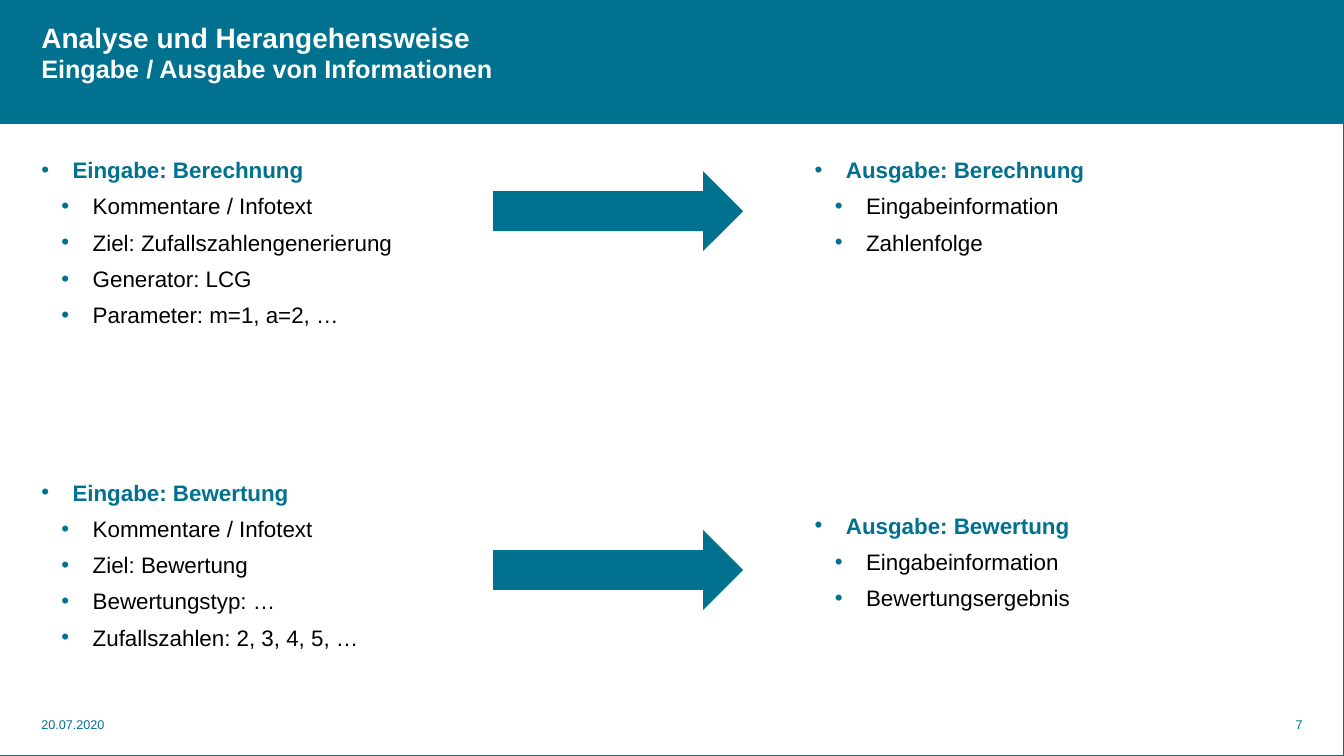
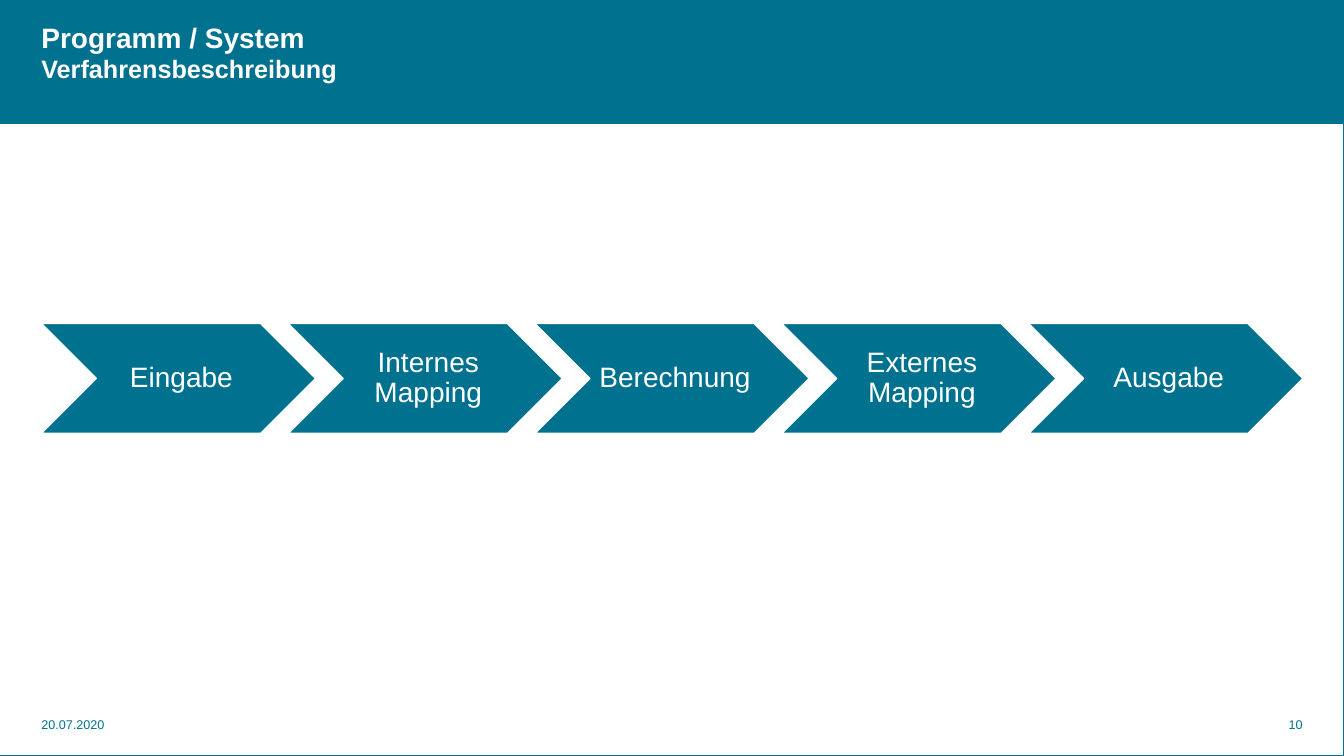
import dataclasses

import lxml.etree
import pptx
import pptx.dml.color
import pptx.enum.shapes
import pptx.enum.text
import pptx.oxml.ns
import pptx.util

Inches = pptx.util.Inches
Pt = pptx.util.Pt
Preset = pptx.enum.shapes.MSO_SHAPE
Align = pptx.enum.text.PP_ALIGN
Anchor = pptx.enum.text.MSO_ANCHOR


@dataclasses.dataclass(frozen=True)
class Theme:
    accent: str = "00718F"
    ink: str = "000000"
    paper: str = "FFFFFF"
    font: str = "Arial"
    title_size: float = 20
    subtitle_size: float = 18
    list_size: float = 16
    step_size: float = 20
    footer_size: float = 9
    item_gap: float = 6.75
    list_pitch: float = 25.15
    margin: float = 0.41
    width: float = 13.33
    height: float = 7.5


THEME = Theme()


def rgb(color):
    return pptx.dml.color.RGBColor.from_string(color)


def write(paragraph, text, size=THEME.list_size, color=THEME.ink, bold=False,
          align=Align.LEFT, before=0, spacing=1.0):
    paragraph.alignment = align
    paragraph.space_before = Pt(before)
    paragraph.space_after = Pt(0)
    paragraph.line_spacing = spacing
    run = paragraph.add_run()
    run.text = text
    run.font.name = THEME.font
    run.font.size = Pt(size)
    run.font.bold = bold
    run.font.color.rgb = rgb(color)


def prepare_frame(frame, insets=(0, 0, 0, 0), anchor=Anchor.TOP):
    frame.word_wrap = True
    frame.auto_size = pptx.enum.text.MSO_AUTO_SIZE.NONE
    frame.vertical_anchor = anchor
    (frame.margin_left, frame.margin_top,
     frame.margin_right, frame.margin_bottom) = map(Inches, insets)
    return frame


def place(placeholder, left, top, width, height):
    placeholder.left, placeholder.top = Inches(left), Inches(top)
    placeholder.width, placeholder.height = Inches(width), Inches(height)
    return prepare_frame(placeholder.text_frame)


def add_block(slide, preset, left, top, width, height, fill=None, line=None, weight=1):
    block = slide.shapes.add_shape(
        preset, Inches(left), Inches(top), Inches(width), Inches(height))
    block.shadow.inherit = False
    if fill:
        block.fill.solid()
        block.fill.fore_color.rgb = rgb(fill)
    else:
        block.fill.background()
    if line:
        block.line.color.rgb = rgb(line)
        block.line.width = Pt(weight)
    else:
        block.line.fill.background()
    return block


def dress_master(master, slide):
    band = add_block(slide, Preset.RECTANGLE, 0, 0, THEME.width, 1.23, fill=THEME.accent)
    border = add_block(slide, Preset.RECTANGLE, 0, 0, THEME.width, THEME.height,
                       line=THEME.accent, weight=0.75)
    for position, part in enumerate((band, border), start=2):
        master.shapes.element.insert(position, part.element)


def add_footer(slide, text, left, width, align=Align.LEFT):
    footer = slide.shapes.add_textbox(
        Inches(left), Inches(7.11), Inches(width), Inches(0.15))
    write(prepare_frame(footer.text_frame).paragraphs[0], text,
          size=THEME.footer_size, color=THEME.accent, align=align)


def add_page(deck, layout, title, subtitle, number):
    slide = deck.slides.add_slide(deck.slide_layouts.get_by_name(layout))
    heading = place(slide.shapes.title, THEME.margin, 0.2, 11.02, 0.64)
    write(heading.paragraphs[0], title,
          size=THEME.title_size, color=THEME.paper, bold=True)
    write(heading.add_paragraph(), subtitle,
          size=THEME.subtitle_size, color=THEME.paper, bold=True)
    add_footer(slide, "20.07.2020", THEME.margin, 0.8)
    add_footer(slide, number, 12.09, 0.83, Align.RIGHT)
    return slide


def set_bullet(paragraph, level):
    paragraph.level = level
    properties = paragraph._p.get_or_add_pPr()
    properties.set("marL", str(Inches(0.31 + 0.2 * level)))
    properties.set("indent", str(Inches(-0.31)))
    qn = pptx.oxml.ns.qn
    tint = lxml.etree.SubElement(properties, qn("a:buClr"))
    lxml.etree.SubElement(tint, qn("a:srgbClr"), val=THEME.accent)
    lxml.etree.SubElement(properties, qn("a:buFont"), typeface=THEME.font)
    lxml.etree.SubElement(properties, qn("a:buChar"), char="•")


def fill_list(frame, sections, skipped_lines):
    for index, (heading, items) in enumerate(sections):
        topic = frame.add_paragraph() if index else frame.paragraphs[0]
        gap = THEME.item_gap + skipped_lines * THEME.list_pitch if index else 0
        write(topic, heading, color=THEME.accent, bold=True, before=gap)
        set_bullet(topic, 0)
        for item in items:
            entry = frame.add_paragraph()
            write(entry, item, before=THEME.item_gap)
            set_bullet(entry, 1)


def add_process(slide, steps):
    width, height = 2.72, 1.09
    for index, step in enumerate(steps):
        chevron = add_block(slide, Preset.CHEVRON, THEME.margin + index * width * 0.9,
                            3.21, width, height, fill=THEME.accent, line=THEME.paper)
        label = prepare_frame(chevron.text_frame, (0.07, 0.03, 0.01, 0.03), Anchor.MIDDLE)
        write(label.paragraphs[0], step, size=THEME.step_size, color=THEME.paper,
              align=Align.CENTER, spacing=0.9)


def main():
    deck = pptx.Presentation()
    deck.slide_width, deck.slide_height = Inches(THEME.width), Inches(THEME.height)

    exchange = add_page(deck, "Two Content", "Analyse und Herangehensweise",
                        "Eingabe / Ausgabe von Informationen", "7")
    dress_master(deck.slide_master, exchange)
    inputs = place(exchange.placeholders[1], THEME.margin, 1.55, 3.78, 5.22)
    fill_list(inputs, [
        ("Eingabe: Berechnung", ["Kommentare / Infotext", "Ziel: Zufallszahlengenerierung",
                                 "Generator: LCG", "Parameter: m=1, a=2, …"]),
        ("Eingabe: Bewertung", ["Kommentare / Infotext", "Ziel: Bewertung",
                                "Bewertungstyp: …", "Zufallszahlen: 2, 3, 4, 5, …"]),
    ], skipped_lines=4)
    outputs = place(exchange.placeholders[2], 8.08, 1.55, 4.01, 4.51)
    fill_list(outputs, [
        ("Ausgabe: Berechnung", ["Eingabeinformation", "Zahlenfolge"]),
        ("Ausgabe: Bewertung", ["Eingabeinformation", "Bewertungsergebnis"]),
    ], skipped_lines=7)
    for top in (1.7, 5.26):
        add_block(exchange, Preset.RIGHT_ARROW, 4.89, top, 2.48, 0.79, fill=THEME.accent)

    procedure = add_page(deck, "Title Only", "Programm / System",
                         "Verfahrensbeschreibung", "10")
    add_process(procedure, ["Eingabe", "Internes Mapping", "Berechnung",
                            "Externes Mapping", "Ausgabe"])
    deck.save("out.pptx")


if __name__ == "__main__":
    main()
